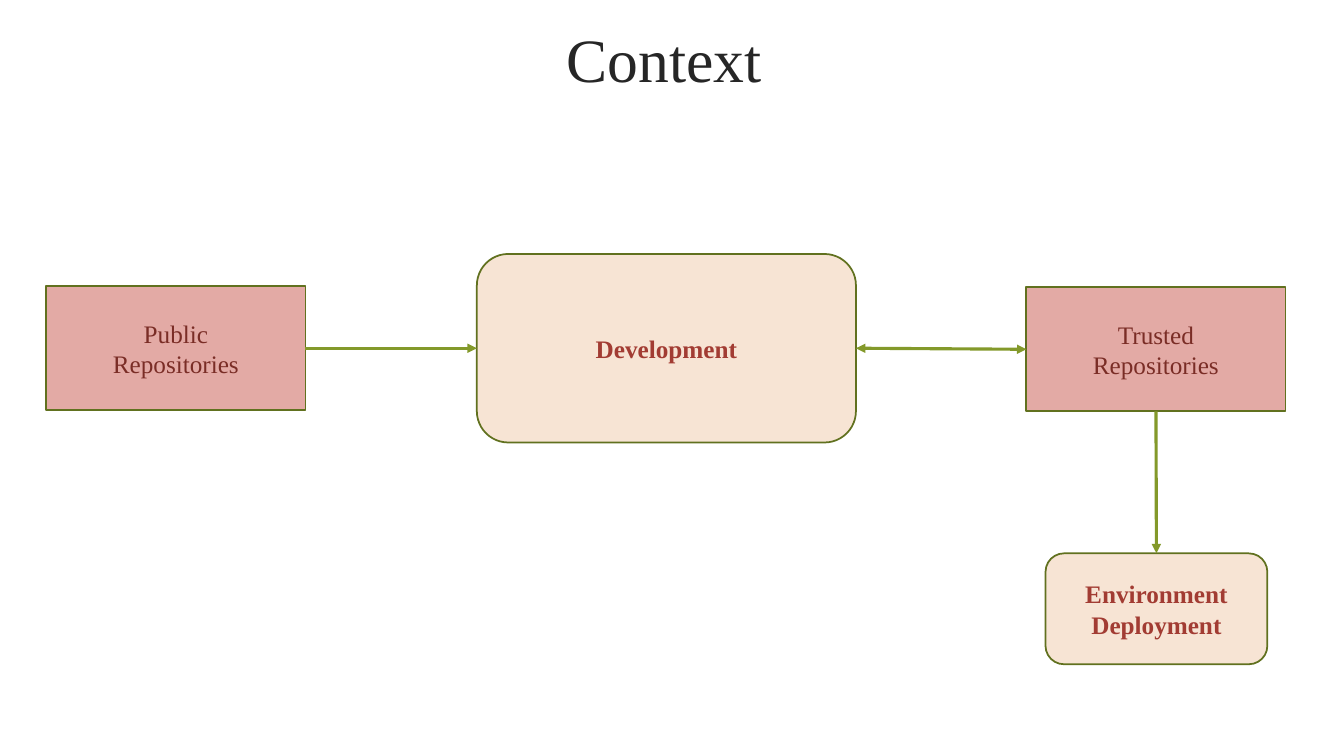
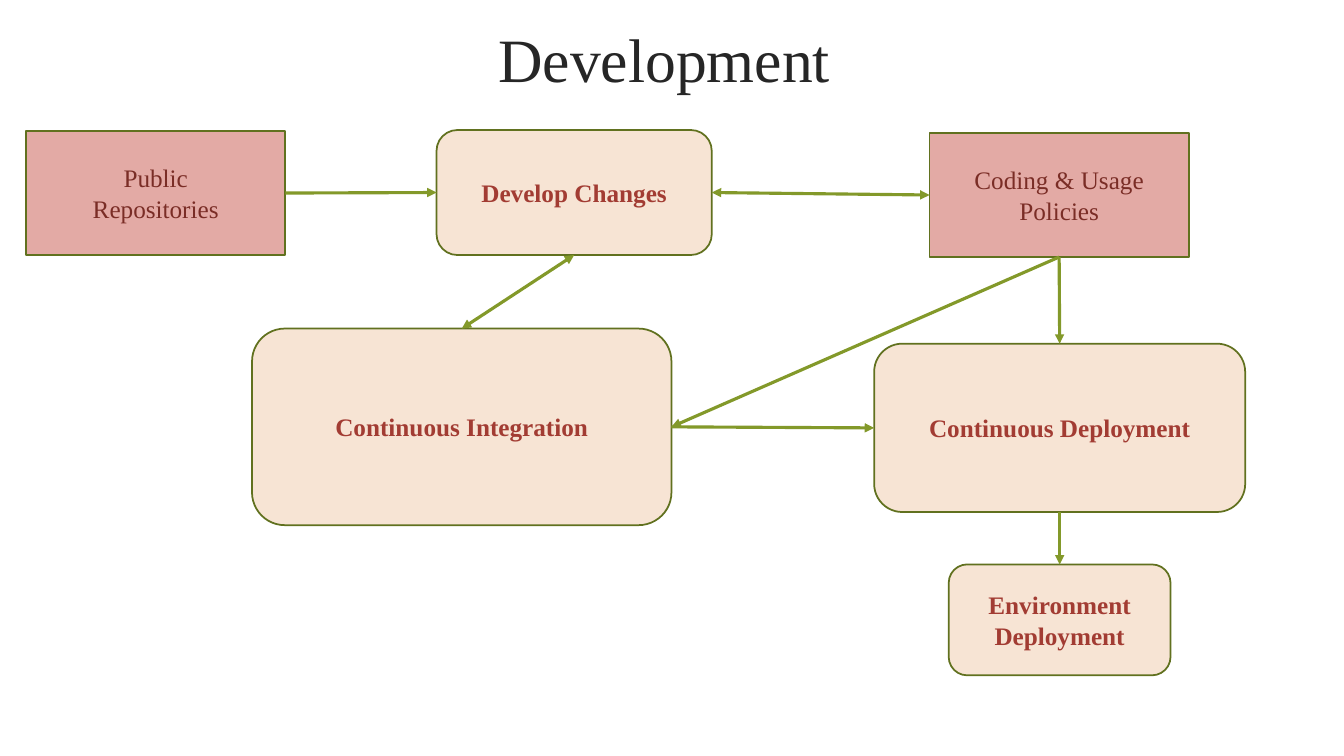
from lxml import etree
from pptx import Presentation
from pptx.dml.color import RGBColor
from pptx.enum.shapes import MSO_CONNECTOR, MSO_SHAPE
from pptx.enum.text import MSO_ANCHOR, PP_ALIGN
from pptx.oxml.ns import qn
from pptx.util import Inches, Pt

STAGE = MSO_SHAPE.ROUNDED_RECTANGLE
RESOURCE = MSO_SHAPE.FLOWCHART_PROCESS
STRAIGHT = MSO_CONNECTOR.STRAIGHT
CENTER = PP_ALIGN.CENTER
MIDDLE = MSO_ANCHOR.MIDDLE
TOP, LEFT, BOTTOM, RIGHT = range(4)
BLANK_LAYOUT = 6

FONT = "Times New Roman"
COLORS = {
    "title": "262626",
    "stage_fill": "F7E4D4",
    "stage_text": "A23C33",
    "resource_fill": "E3AAA5",
    "resource_text": "7A2D26",
    "outline": "61711F",
    "arrow": "83992A",
}
RESOURCE_SIZE = (2.57, 1.23)
ENVIRONMENT_SIZE = (2.2, 1.1)


def color(name):
    """Return the named palette colour."""
    return RGBColor.from_string(COLORS[name])


def write(frame, text, *, size=18, ink="title", bold=False):
    """Fill a text frame with one centred paragraph per line of text."""
    frame.word_wrap = True
    frame.vertical_anchor = MIDDLE
    for index, line in enumerate(text.split("\n")):
        paragraph = frame.paragraphs[0] if index == 0 else frame.add_paragraph()
        paragraph.alignment = CENTER
        run = paragraph.add_run()
        run.text = line
        run.font.name = FONT
        run.font.size = Pt(size)
        run.font.bold = bold
        run.font.color.rgb = color(ink)


class FlowDeck:
    """Hold the presentation, its style and the current slide."""

    def __init__(self):
        """Start an empty widescreen presentation."""
        self.presentation = Presentation()
        self.presentation.slide_width = Inches(13.33)
        self.presentation.slide_height = Inches(7.5)
        self.slide = None

    def start_slide(self, title):
        """Add a slide with a centred title."""
        layout = self.presentation.slide_layouts[BLANK_LAYOUT]
        self.slide = self.presentation.slides.add_slide(layout)
        heading = self.slide.shapes.add_textbox(
            Inches(1.38), Inches(0.08), Inches(10.42), Inches(0.99))
        write(heading.text_frame, title, size=44)

    def box(self, kind, text, left, top, size, *, role, bold):
        """Draw an outlined box in the colours of its role."""
        width, height = size
        node = self.slide.shapes.add_shape(
            kind, Inches(left), Inches(top), Inches(width), Inches(height))
        node.shadow.inherit = False
        node.fill.solid()
        node.fill.fore_color.rgb = color(f"{role}_fill")
        node.line.color.rgb = color("outline")
        node.line.width = Pt(1.25)
        write(node.text_frame, text, ink=f"{role}_text", bold=bold)
        return node

    def stage(self, text, left, top, size):
        """Draw a rounded box for a stage of the process."""
        return self.box(STAGE, text, left, top, size, role="stage", bold=True)

    def resource(self, text, left, top):
        """Draw a rectangular box for a repository or policy."""
        return self.box(RESOURCE, text, left, top, RESOURCE_SIZE,
                        role="resource", bold=False)

    def arrow(self, source, source_side, target, target_side, *, both=False):
        """Join two boxes with an arrow, pointing both ways if asked."""
        link = self.slide.shapes.add_connector(STRAIGHT, 0, 0, 0, 0)
        link.begin_connect(source, source_side)
        link.end_connect(target, target_side)
        link.line.color.rgb = color("arrow")
        link.line.width = Pt(2.25)
        outline = link.line._get_or_add_ln()
        for end in ("a:headEnd", "a:tailEnd") if both else ("a:tailEnd",):
            etree.SubElement(outline, qn(end), type="triangle")
        etree.SubElement(link._element.spPr, qn("a:effectLst"))

    def save(self):
        """Save the finished presentation."""
        self.presentation.save("out.pptx")


def build_context(deck):
    """Draw the overview of repositories around development."""
    deck.start_slide("Context")
    development = deck.stage("Development", 4.73, 2.52, (3.76, 1.87))
    environment = deck.stage("Environment\nDeployment", 10.37, 5.49, ENVIRONMENT_SIZE)
    public = deck.resource("Public\nRepositories", 0.46, 2.84)
    trusted = deck.resource("Trusted\nRepositories", 10.18, 2.85)
    deck.arrow(public, RIGHT, development, LEFT)
    deck.arrow(trusted, BOTTOM, environment, TOP)
    deck.arrow(development, RIGHT, trusted, LEFT, both=True)


def build_development(deck):
    """Draw the steps from changes to deployment."""
    deck.start_slide("Development")
    integration = deck.stage("Continuous Integration", 2.5, 3.26, (4.16, 1.95))
    changes = deck.stage("Develop Changes", 4.33, 1.29, (2.73, 1.24))
    public = deck.resource("Public\nRepositories", 0.26, 1.3)
    policies = deck.resource("Coding & Usage\nPolicies", 9.22, 1.32)
    deployment = deck.stage("Continuous Deployment", 8.67, 3.41, (3.68, 1.67))
    environment = deck.stage("Environment\nDeployment", 9.41, 5.6, ENVIRONMENT_SIZE)
    deck.arrow(public, RIGHT, changes, LEFT)
    deck.arrow(integration, TOP, changes, BOTTOM, both=True)
    deck.arrow(integration, RIGHT, deployment, LEFT)
    deck.arrow(changes, RIGHT, policies, LEFT, both=True)
    deck.arrow(policies, BOTTOM, deployment, TOP)
    deck.arrow(policies, BOTTOM, integration, RIGHT)
    deck.arrow(deployment, BOTTOM, environment, TOP)


def main():
    """Build and save both slides."""
    deck = FlowDeck()
    build_context(deck)
    build_development(deck)
    deck.save()


if __name__ == "__main__":
    main()
